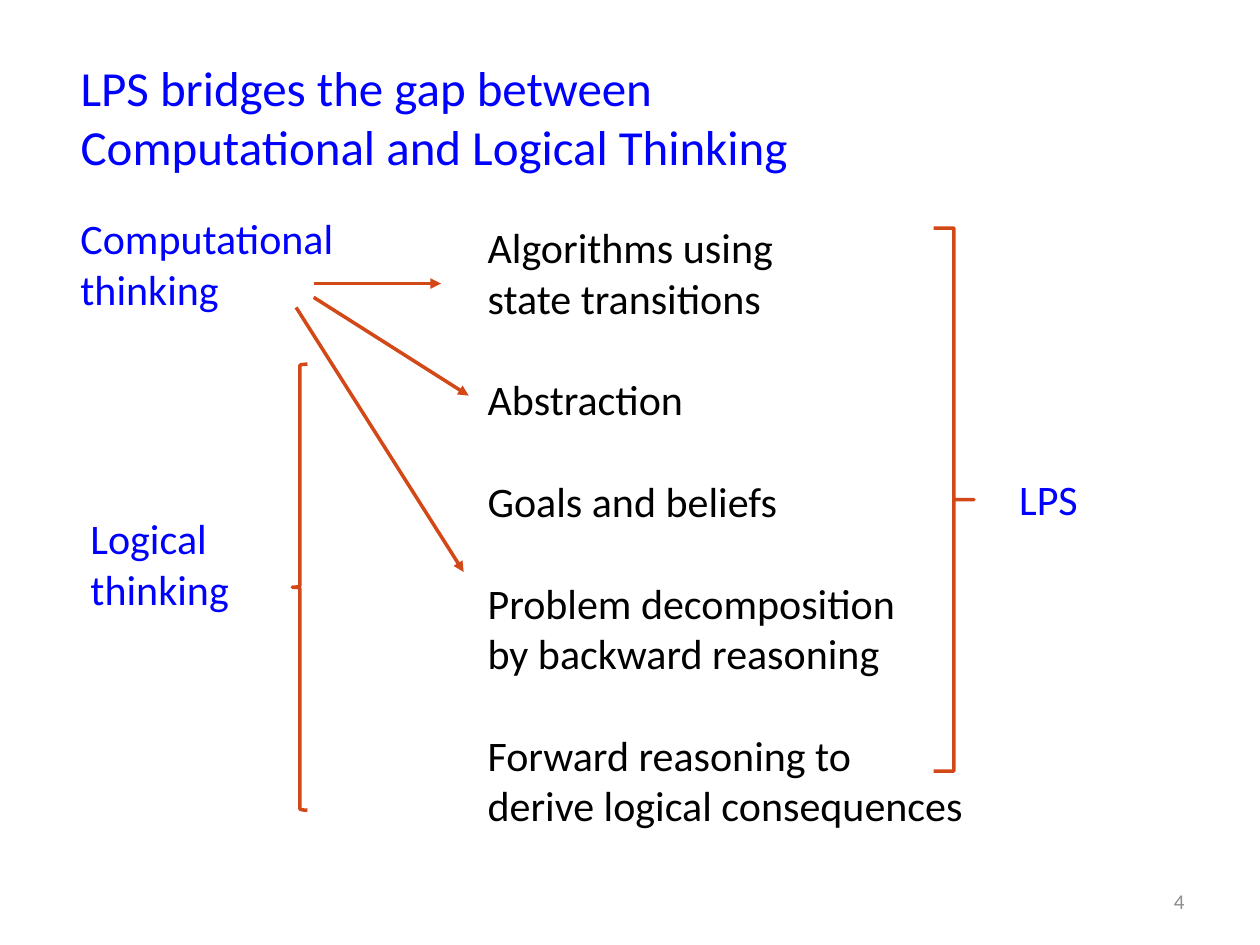
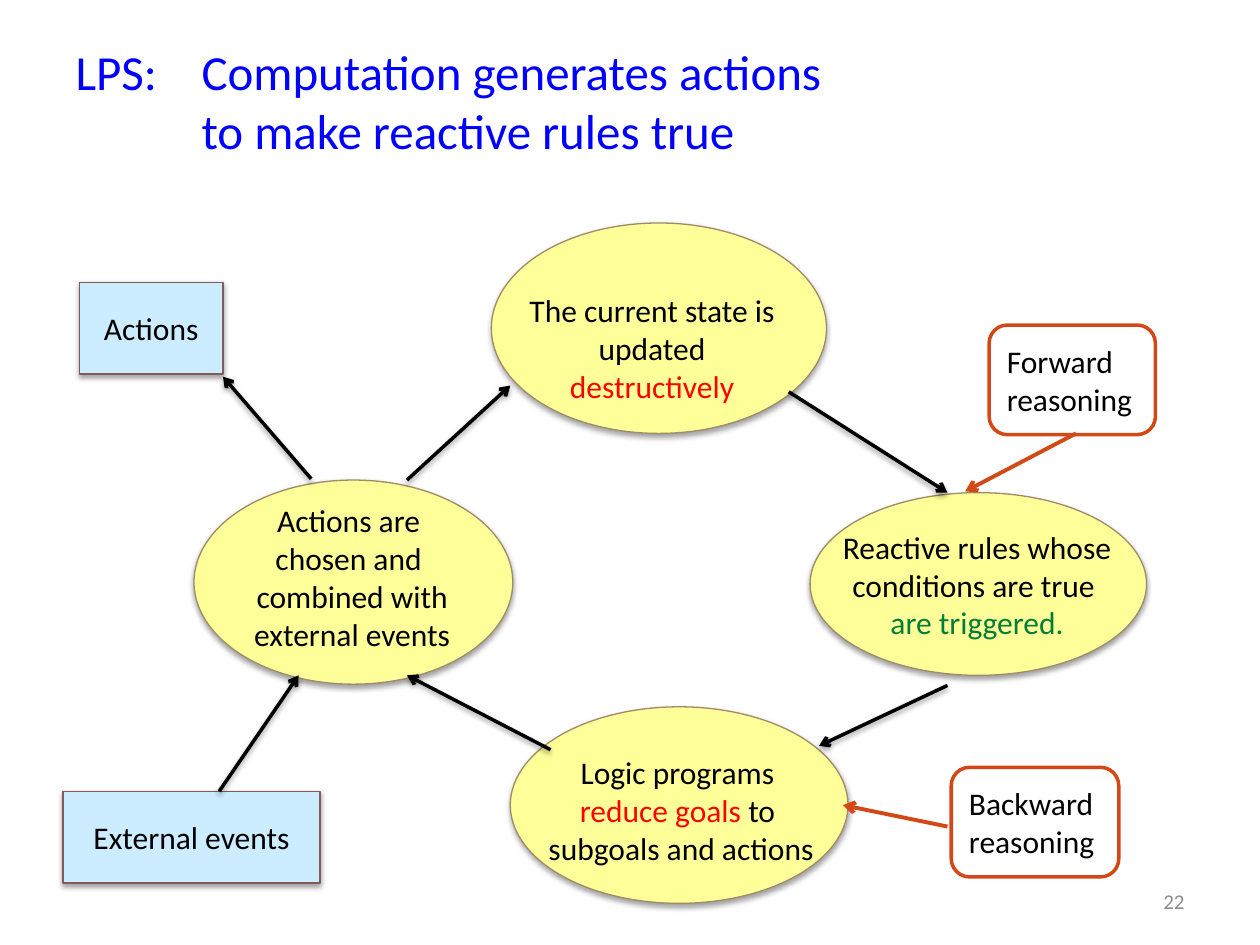
from lxml import etree
from pptx import Presentation
from pptx.dml.color import RGBColor
from pptx.enum.shapes import MSO_CONNECTOR, MSO_SHAPE
from pptx.enum.text import MSO_ANCHOR, MSO_AUTO_SIZE, PP_ALIGN
from pptx.oxml import parse_xml
from pptx.oxml.ns import nsdecls, qn
from pptx.util import Inches, Pt

LEFT, CENTER, RIGHT = PP_ALIGN.LEFT, PP_ALIGN.CENTER, PP_ALIGN.RIGHT
TOP, MIDDLE = MSO_ANCHOR.TOP, MSO_ANCHOR.MIDDLE
RECT, OVAL = MSO_SHAPE.RECTANGLE, MSO_SHAPE.OVAL
ROUNDED, BRACE = MSO_SHAPE.ROUNDED_RECTANGLE, MSO_SHAPE.RIGHT_BRACE
STRAIGHT = MSO_CONNECTOR.STRAIGHT
NO_FIT = MSO_AUTO_SIZE.NONE

FONT = "Calibri"
COLORS = {
    "blue": "0000FF", "black": "000000", "grey": "8C8C8C", "red": "FF0000",
    "green": "007E39", "orange": "D34817", "white": "FFFFFF",
    "sky": "CCECFF", "yellow": "FFFF99", "brown": "835A5A", "tan": "A08B66",
}
RGB = {name: RGBColor.from_string(value) for name, value in COLORS.items()}
FLAT = f"<a:effectLst {nsdecls('a')}/>"
SHADOW = (f"<a:effectLst {nsdecls('a')}>"
          '<a:outerShdw blurRad="40000" dist="21500" dir="5400000" rotWithShape="0">'
          '<a:srgbClr val="000000"><a:alpha val="37000"/></a:srgbClr>'
          "</a:outerShdw></a:effectLst>")

prs = Presentation()
prs.slide_width, prs.slide_height = Inches(10), Inches(7.5)
CELL = prs.slide_width / 100


def put(s, at, paras=(), sp=None, shape=None, fill=None, line=None, width=2,
        effect=FLAT, size=18, color="black", align=LEFT, anchor=TOP,
        wrap=True, gaps=()):
    box = [round(v * CELL) for v in at]
    if sp is not None:
        sp.left, sp.top, sp.width, sp.height = box
    elif shape is None:
        sp = s.shapes.add_textbox(*box)
    else:
        sp = s.shapes.add_shape(shape, *box)
        if fill:
            sp.fill.solid()
            sp.fill.fore_color.rgb = RGB[fill]
        else:
            sp.fill.background()
        sp.line.color.rgb = RGB[line]
        sp.line.width = Pt(width)
        sp._element.spPr.append(parse_xml(effect))
    tf = sp.text_frame
    tf.word_wrap, tf.auto_size, tf.vertical_anchor = wrap, NO_FIT, anchor
    for i, para in enumerate(paras):
        p = tf.paragraphs[0] if i == 0 else tf.add_paragraph()
        p.alignment = align
        p.space_before = Pt(29.3 if i in gaps else 0)
        for text, tint in [(para, color)] if isinstance(para, str) else para:
            for j, part in enumerate(text.split("\n")):
                if j:
                    p.add_line_break()
                r = p.add_run()
                r.text = part
                r.font.name, r.font.size = FONT, Pt(size)
                r.font.color.rgb = RGB[tint]
    return sp


def link(s, start, end, color="black", width=2, head="arrow", effect=FLAT):
    c = s.shapes.add_connector(STRAIGHT, *[round(v * CELL) for v in start + end])
    c.line.color.rgb = RGB[color]
    c.line.width = Pt(width)
    spPr = c._element.spPr
    etree.SubElement(spPr.find(qn("a:ln")), qn("a:tailEnd")).set("type", head)
    spPr.append(parse_xml(effect))


slides = []
for layout, title, at, number in [
    (1, "LPS bridges the gap between \nComputational and Logical Thinking",
     (5.4, 3, 89.6, 12.5), "4"),
    (5, "LPS: \tComputation generates actions \n\t\tto make reactive rules true",
     (5, 1.7, 90, 12.5), "22"),
]:
    s = prs.slides.add_slide(prs.slide_layouts[layout])
    put(s, at, [title], sp=s.shapes.title, size=28, color="blue", anchor=MIDDLE)
    put(s, (71.7, 69.5, 23.3, 4), [number], size=12, color="grey",
        align=RIGHT, anchor=MIDDLE)
    slides.append(s)
bridge, cycle = slides

topics = put(bridge, (37.7, 17.1, 40.1, 52), [
    "Algorithms using", "state transitions", "Abstraction", "Goals and beliefs",
    "Problem decomposition", "by backward reasoning",
    "Forward reasoning to", "derive logical consequences",
], sp=bridge.placeholders[1], size=24, wrap=False, gaps=(2, 3, 4, 6))
for p in topics.text_frame.paragraphs:
    pPr = p._p.get_or_add_pPr()
    pPr.set("marL", "0")
    pPr.set("indent", "0")
    etree.SubElement(pPr, qn("a:buNone"))

for at, label in [
    ((5.4, 16.4, 32.3, 9.1), ["Computational", "thinking"]),
    ((6.2, 40.2, 21.3, 9.1), ["Logical", "thinking"]),
    ((79.9, 37.1, 6.9, 5), ["LPS"]),
]:
    put(bridge, at, label, size=24, color="blue")

logical = put(bridge, (23.2, 28.9, 1.2, 35.4), shape=BRACE, line="orange")
logical.rotation = 180
lps = put(bridge, (74.1, 18.1, 3.2, 43.1), shape=BRACE, line="orange")
lps.adjustments[0], lps.adjustments[1] = 0, 0.5

for start, end in [
    ((24.9, 22.5), (35, 22.5)),
    ((23.5, 24.4), (36.8, 45.4)),
    ((24.9, 23.6), (37.2, 31.4)),
]:
    link(bridge, start, end, color="orange", head="triangle")

for at, label in [
    ((5, 62.8, 20.4, 7.3), "External events"),
    ((6.3, 22.4, 11.4, 7.3), "Actions"),
]:
    put(cycle, at, [label], shape=RECT, fill="sky", line="brown", width=0.75,
        effect=SHADOW, align=CENTER, anchor=MIDDLE)

for oval, at, label in [
    ((39, 17.7, 26.6, 16.7), (36.8, 22.6, 29.9, 10.1),
     ["The current state is updated", [("destructively", "red")]]),
    ((64.3, 39.1, 26.7, 14.5), (62.6, 41.4, 29.9, 10.1),
     ["Reactive rules whose conditions are true ", [("are triggered.", "green")]]),
    ((40.5, 56.1, 26.8, 15.6), (37.6, 59.3, 32.9, 10.1),
     ["Logic programs ", [("reduce goals ", "red"), ("to ", "black")],
      "subgoals and actions"]),
    ((15.4, 38.1, 25.3, 16.2), (13, 39.3, 29.9, 13.1),
     ["Actions are ", "chosen and ", "combined with", "external events"]),
]:
    put(cycle, oval, shape=OVAL, fill="yellow", line="tan", width=0.75, effect=SHADOW)
    put(cycle, at, label, align=CENTER)

for start, end in [
    ((32.3, 38.1), (40.5, 30.6)),
    ((17.4, 62.8), (23.7, 53.6)),
    ((62.6, 31.1), (75.2, 39.1)),
    ((75.2, 54.4), (65, 59.2)),
    ((43.7, 59.5), (32.3, 53.6)),
    ((24.7, 38), (17.7, 29.9)),
]:
    link(cycle, start, end, effect=SHADOW)

for at, direction, start, end in [
    ((78.5, 25.8, 13.2, 8.7), "Forward", (85.4, 34.4), (76.6, 39)),
    ((75.5, 60.9, 13.3, 8.7), "Backward", (75.2, 65.6), (66.9, 63.9)),
]:
    put(cycle, at, [direction, "reasoning"], shape=ROUNDED, fill="white",
        line="orange", anchor=MIDDLE)
    link(cycle, start, end, color="orange", width=2.25)

prs.save("out.pptx")
